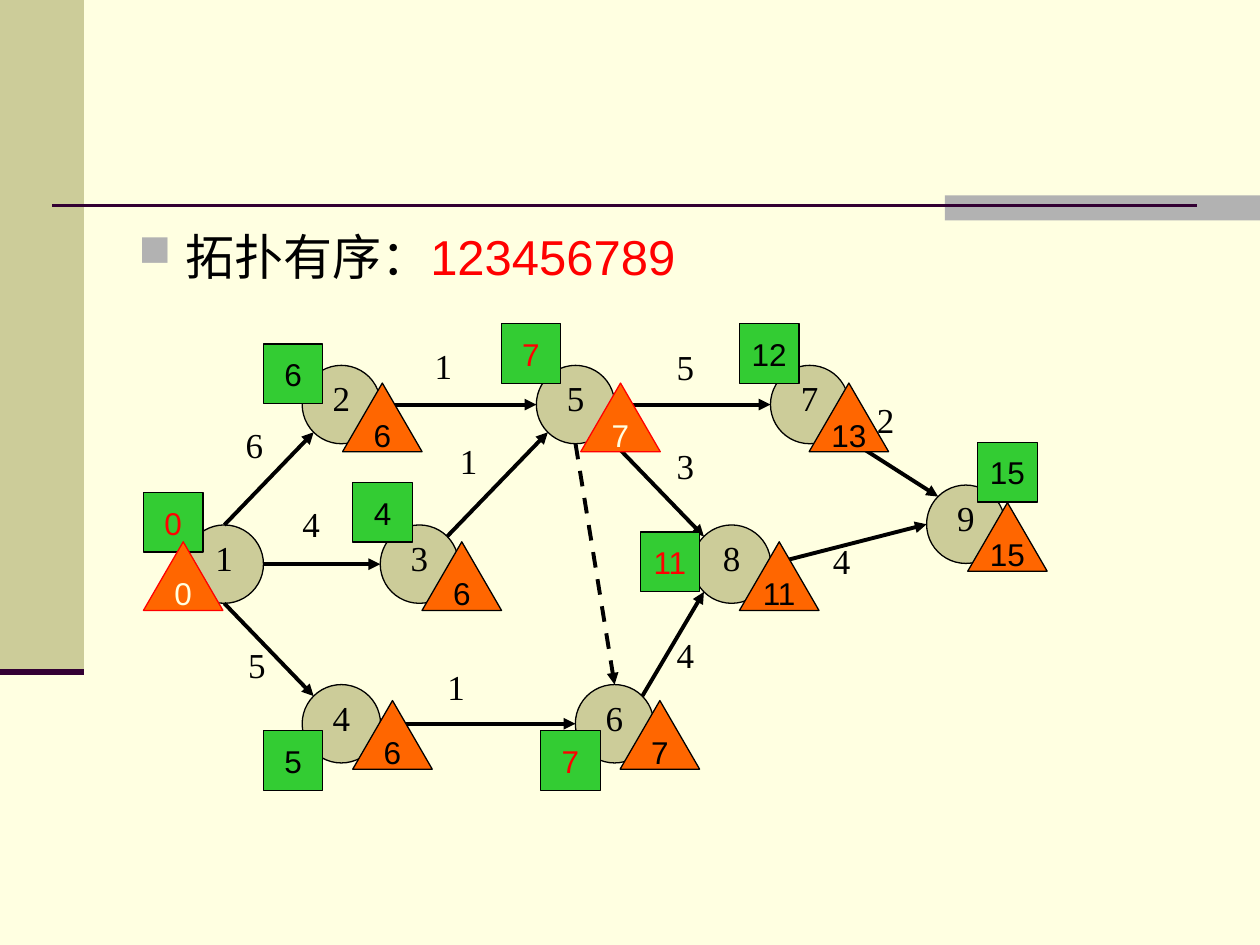
from dataclasses import dataclass
from math import cos, pi, sin

from lxml.etree import SubElement
from pptx import Presentation
from pptx.dml.color import RGBColor
from pptx.enum.dml import MSO_LINE
from pptx.enum.shapes import MSO_CONNECTOR, MSO_SHAPE
from pptx.enum.text import MSO_ANCHOR, PP_ALIGN
from pptx.oxml.ns import qn
from pptx.util import Pt


@dataclass(frozen=True)
class Theme:
    paper: str = "FFFFE1"
    sand: str = "CCCC99"
    grey: str = "B2B2B2"
    plum: str = "330033"
    black: str = "000000"
    red: str = "FF0000"
    green: str = "33CC33"
    orange: str = "FF6600"
    sans: str = "Arial"
    serif: str = "Times New Roman"
    title: int = 28
    node: int = 20
    badge: int = 18
    thin: float = 0.75
    bold: float = 2.25


@dataclass(frozen=True)
class Node:
    name: str
    col: int
    row: int

    @property
    def x(self) -> float:
        return 128.2 + 22.3 * self.col

    @property
    def y(self) -> float:
        return 231.2 + 22.8 * self.row

    def site(self, index: int) -> tuple[float, float]:
        turn = index * pi / 4
        return self.x - RADIUS * sin(turn), self.y - RADIUS * cos(turn)


@dataclass(frozen=True)
class Edge:
    start: str
    out: int
    end: str
    into: int
    dash: bool = False


@dataclass(frozen=True)
class Label:
    text: str
    x: float
    y: float


@dataclass(frozen=True)
class Badge:
    text: str
    x: float
    y: float
    ink: str
    edge: str


THEME = Theme()
RADIUS = 22.4
TOP, TOP_LEFT, LEFT, LOW_LEFT, LOW, LOW_RIGHT, RIGHT, TOP_RIGHT = range(8)

NODES = [
    Node("1", 0, 4), Node("2", 3, 0), Node("3", 5, 4),
    Node("4", 3, 8), Node("5", 9, 0), Node("6", 10, 8),
    Node("8", 13, 4), Node("7", 15, 0), Node("9", 19, 3),
]
EDGES = [
    Edge("1", TOP, "2", LOW_LEFT),
    Edge("1", RIGHT, "3", LEFT),
    Edge("1", LOW, "4", TOP_LEFT),
    Edge("2", RIGHT, "5", LEFT),
    Edge("3", TOP_RIGHT, "5", LOW_LEFT),
    Edge("4", RIGHT, "6", LEFT),
    Edge("6", TOP_RIGHT, "8", LOW_LEFT),
    Edge("5", LOW_RIGHT, "8", TOP_LEFT),
    Edge("5", RIGHT, "7", LEFT),
    Edge("7", LOW_RIGHT, "9", TOP_LEFT),
    Edge("8", RIGHT, "9", LEFT),
    Edge("5", LOW, "6", TOP, dash=True),
]
WEIGHTS = [
    Label("1", 248.4, 196.6), Label("6", 140.4, 241.9), Label("4", 172.8, 287.3),
    Label("1", 262.8, 251.3), Label("1", 255.6, 380.2), Label("5", 141.8, 367.9),
    Label("4", 386.6, 362.2), Label("4", 475.9, 308.2), Label("3", 386.6, 254.2),
    Label("5", 386.6, 197.3), Label("2", 501.1, 227.5),
]


def early(text: str, x: float, y: float, ink: str = THEME.black) -> Badge:
    return Badge(text, x, y, ink, THEME.black)


def late(text: str, x: float, y: float, ink: str = THEME.black,
         edge: str = THEME.black) -> Badge:
    return Badge(text, x, y, ink, edge)


PAIRS = [
    (early("0", 82, 281.5, THEME.red), late("0", 82, 309.6, THEME.paper, THEME.red)),
    (early("6", 150.5, 196.6), late("6", 195.8, 218.9)),
    (early("7", 286.4, 185, THEME.red), late("7", 331.9, 218.9, THEME.paper, THEME.red)),
    (early("4", 201.6, 275.8), late("6", 241.2, 309.6)),
    (early("5", 150.5, 417.6), late("6", 201.6, 400.3)),
    (early("7", 309, 417.6, THEME.red), late("7", 354.4, 400.3)),
    (early("11", 365.8, 304, THEME.red), late("11", 422.6, 309.6)),
    (early("12", 422.6, 185), late("13", 462.4, 218.9)),
    (early("15", 558.7, 252.9), late("15", 553, 287.2)),
]


def write(shape, text: str, *, size: float, font: str, ink: str = THEME.black,
          align=PP_ALIGN.CENTER, anchor=MSO_ANCHOR.TOP, wrap: bool = True,
          inset: tuple[float, float] = (0, 0)):
    frame = shape.text_frame
    frame.word_wrap = wrap
    frame.vertical_anchor = anchor
    frame.margin_left = frame.margin_right = Pt(inset[0])
    frame.margin_top = frame.margin_bottom = Pt(inset[1])
    para = frame.paragraphs[0]
    para.alignment = align
    run = para.add_run()
    run.text = text
    run.font.size = Pt(size)
    run.font.name = font
    run.font.color.rgb = RGBColor.from_string(ink)
    return para


def block(slide, kind, x: float, y: float, w: float, h: float, fill: str,
          edge: str | None = None):
    shape = slide.shapes.add_shape(kind, Pt(x), Pt(y), Pt(w), Pt(h))
    shape.shadow.inherit = False
    shape.fill.solid()
    shape.fill.fore_color.rgb = RGBColor.from_string(fill)
    if edge:
        shape.line.color.rgb = RGBColor.from_string(edge)
        shape.line.width = Pt(THEME.thin)
    else:
        shape.line.fill.background()
    return shape


def rule(slide, start: tuple[float, float], end: tuple[float, float],
         ink: str, width: float):
    line = slide.shapes.add_connector(
        MSO_CONNECTOR.STRAIGHT, *(Pt(v) for v in (*start, *end)))
    line.line.color.rgb = RGBColor.from_string(ink)
    line.line.width = Pt(width)
    SubElement(line._element.spPr, qn("a:effectLst"))
    return line


def arrow(slide, edge: Edge, nodes: dict, discs: dict) -> None:
    line = rule(slide, nodes[edge.start].site(edge.out),
                nodes[edge.end].site(edge.into), THEME.black, THEME.bold)
    if edge.dash:
        line.line.dash_style = MSO_LINE.DASH
    SubElement(line.line._get_or_add_ln(), qn("a:tailEnd"), type="triangle")
    joint = line._element.nvCxnSpPr.cNvCxnSpPr
    for tag, name, site in (("a:stCxn", edge.start, edge.out),
                            ("a:endCxn", edge.end, edge.into)):
        SubElement(joint, qn(tag), id=str(discs[name].shape_id), idx=str(site))


def frame(slide) -> None:
    block(slide, MSO_SHAPE.RECTANGLE, 0, 0, 48, 384, THEME.sand)
    block(slide, MSO_SHAPE.RECTANGLE, 540, 111.6, 180, 14.4, THEME.grey)
    rule(slide, (30, 117.5), (684, 117.5), THEME.plum, 1.5)
    rule(slide, (0, 384), (48, 384), THEME.plum, 3.5)


def title(slide) -> None:
    box = slide.shapes.add_textbox(Pt(72), Pt(126), Pt(612), Pt(356.4))
    para = write(box, "拓扑有序：", size=THEME.title, font=THEME.sans,
                 align=PP_ALIGN.LEFT, inset=(7.2, 3.6))
    run = para.add_run()
    run.text = "123456789"
    run.font.size = Pt(THEME.title)
    run.font.name = THEME.sans
    run.font.color.rgb = RGBColor.from_string(THEME.red)
    para.space_before = Pt(7)
    props = para._p.get_or_add_pPr()
    props.set("marL", str(Pt(27)))
    props.set("indent", str(Pt(-27)))
    tint = SubElement(props, qn("a:buClr"))
    SubElement(tint, qn("a:srgbClr"), val=THEME.grey)
    SubElement(props, qn("a:buSzPct"), val="90000")
    SubElement(props, qn("a:buChar"), char="■")


def graph(slide) -> None:
    nodes = {node.name: node for node in NODES}
    discs = {}
    for node in NODES:
        disc = block(slide, MSO_SHAPE.OVAL, node.x - RADIUS, node.y - RADIUS,
                     2 * RADIUS, 2 * RADIUS, THEME.sand, THEME.black)
        write(disc, node.name, size=THEME.node, font=THEME.serif)
        discs[node.name] = disc
    for edge in EDGES:
        arrow(slide, edge, nodes, discs)
    for label in WEIGHTS:
        box = slide.shapes.add_textbox(Pt(label.x), Pt(label.y), Pt(22.3), Pt(45.4))
        write(box, label.text, size=THEME.node, font=THEME.serif, align=PP_ALIGN.JUSTIFY)


def marks(slide) -> None:
    kinds = ((MSO_SHAPE.RECTANGLE, 34, 34, THEME.green),
             (MSO_SHAPE.ISOSCELES_TRIANGLE, 45.4, 39.2, THEME.orange))
    for pair in PAIRS:
        for badge, (kind, w, h, fill) in zip(pair, kinds):
            shape = block(slide, kind, badge.x, badge.y, w, h, fill, badge.edge)
            write(shape, badge.text, size=THEME.badge, font=THEME.sans, ink=badge.ink,
                  anchor=MSO_ANCHOR.MIDDLE, wrap=False, inset=(7.2, 3.6))


def main() -> None:
    deck = Presentation()
    deck.slide_width, deck.slide_height = Pt(720), Pt(540)
    slide = deck.slides.add_slide(deck.slide_layouts[6])
    slide.background.fill.solid()
    slide.background.fill.fore_color.rgb = RGBColor.from_string(THEME.paper)
    for draw in (frame, title, graph, marks):
        draw(slide)
    deck.save("out.pptx")


if __name__ == "__main__":
    main()
